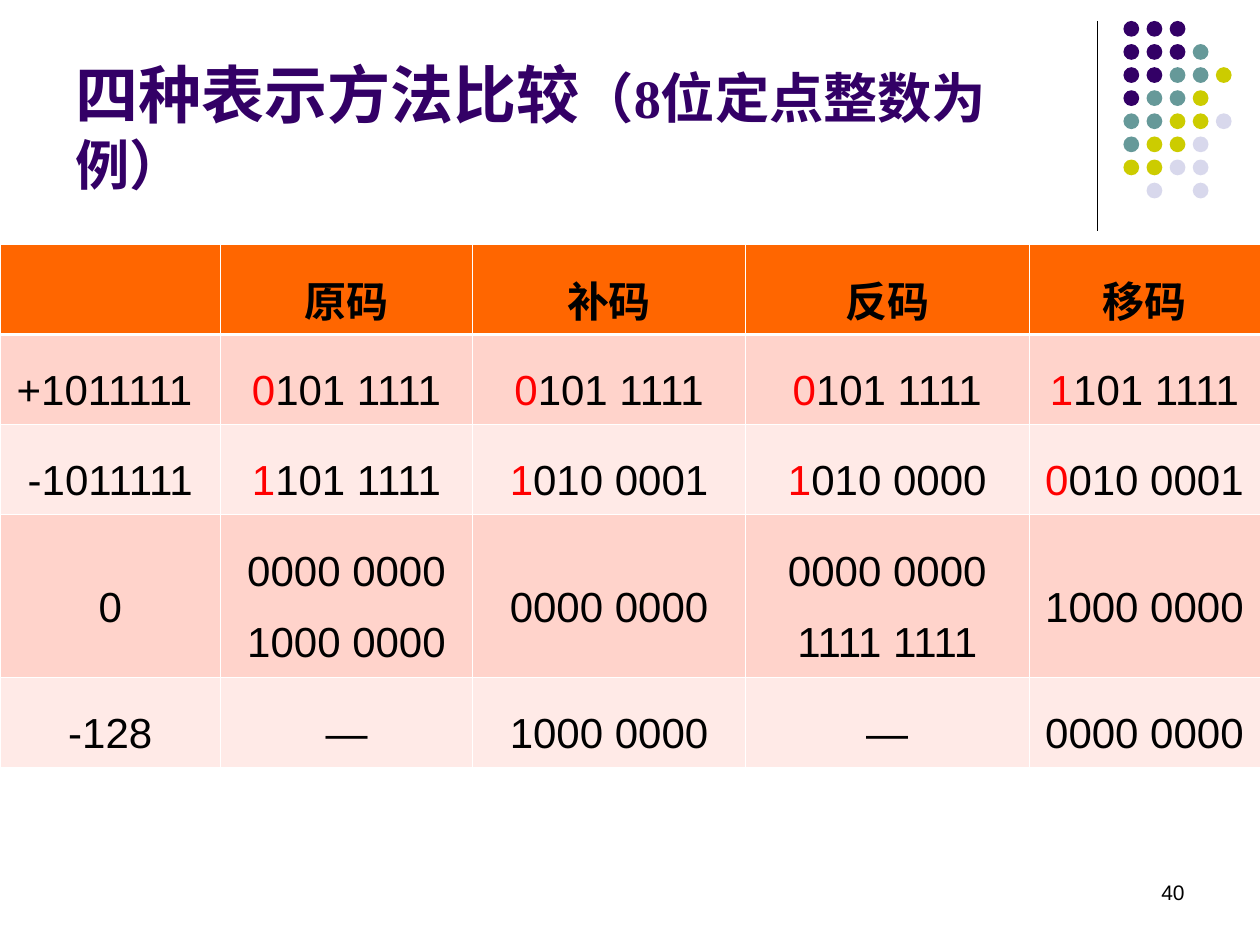
from lxml import etree
from pptx import Presentation, util as u
from pptx.dml.color import RGBColor
from pptx.enum import shapes, text
from pptx.oxml.ns import qn

COLORS = {
    "purple": "330066", "teal": "669999", "olive": "CCCC00", "lilac": "D8D8EC",
    "black": "000000", "white": "FFFFFF", "red": "FF0000",
    "header": "FF6600", "band_dark": "FFD3CB", "band_light": "FFEAE7",
}
CJK = "Noto Sans CJK SC"


def rgb(name):
    return RGBColor.from_string(COLORS[name])


class Deck:
    """Holds the style and the current slide; lengths are units of a 120 x 90 grid."""

    def __init__(self, prs, columns=120):
        self.unit = prs.slide_width / columns
        self.s = prs.slides.add_slide(prs.slide_layouts.get_by_name("Title Only"))

    def g(self, *units):
        return [u.Emu(round(n * self.unit)) for n in units]

    def run(self, p, words, size, color="black", font="Arial", bold=False):
        r = p.add_run()
        r.text = words
        r.font.size, r.font.bold, r.font.name = u.Pt(size), bold, font
        r.font.color.rgb = rgb(color)
        etree.SubElement(r.font._element, qn("a:ea"), typeface=CJK)

    def title(self, box, parts):
        sp = self.s.shapes.title
        sp.left, sp.top, sp.width, sp.height = self.g(*box)
        tf = sp.text_frame
        tf.auto_size, tf.word_wrap = text.MSO_AUTO_SIZE.NONE, True
        tf.vertical_anchor = text.MSO_ANCHOR.MIDDLE
        p = tf.paragraphs[0]
        p.alignment = text.PP_ALIGN.LEFT
        for words, size in parts:
            self.run(p, words, size, "purple", "Times New Roman", True)

    def label(self, box, words, size):
        tf = self.s.shapes.add_textbox(*self.g(*box)).text_frame
        tf.word_wrap = True
        tf.vertical_anchor = text.MSO_ANCHOR.MIDDLE
        p = tf.paragraphs[0]
        p.alignment = text.PP_ALIGN.RIGHT
        self.run(p, words, size)

    def line(self, ends, color, width):
        c = self.s.shapes.add_connector(shapes.MSO_CONNECTOR.STRAIGHT, *self.g(*ends))
        c.line.color.rgb, c.line.width = rgb(color), u.Pt(width)
        etree.SubElement(c._element.spPr, qn("a:effectLst"))

    def dots(self, left, top, pitch, size, pattern):
        names = {"p": "purple", "t": "teal", "o": "olive", "l": "lilac"}
        group = self.s.shapes.add_group_shape()
        for row, marks in enumerate(pattern):
            for col, mark in enumerate(marks):
                if mark not in names:
                    continue
                box = self.g(left + col * pitch, top + row * pitch, size, size)
                sp = group.shapes.add_shape(shapes.MSO_SHAPE.OVAL, *box)
                sp.shadow.inherit = False
                sp.fill.solid()
                sp.fill.fore_color.rgb = rgb(names[mark])
                sp.line.fill.background()

    def borders(self, cell, **widths):
        tcPr = cell._tc.get_or_add_tcPr()
        for side in "LRTB":
            width = u.Pt(widths.get(side, 0.45))
            ln = etree.SubElement(tcPr, qn(f"a:ln{side}"), w=str(int(width)))
            fill = etree.SubElement(ln, qn("a:solidFill"))
            etree.SubElement(fill, qn("a:srgbClr"), val=COLORS["white"])

    def cell(self, cell, words, row, signed):
        header = row == 0
        self.borders(cell, **({"B": 1.47} if header else {"T": 1.47} if row == 1 else {}))
        cell.fill.solid()
        band = "band_dark" if row % 2 else "band_light"
        cell.fill.fore_color.rgb = rgb("header" if header else band)
        cell.vertical_anchor = text.MSO_ANCHOR.MIDDLE
        cell.margin_left = cell.margin_right = u.Inches(0.05)
        cell.margin_top = cell.margin_bottom = u.Inches(0.05)
        tf = cell.text_frame
        for i, words_line in enumerate(words.split("\n")):
            p = tf.add_paragraph() if i else tf.paragraphs[0]
            p.alignment = text.PP_ALIGN.CENTER
            p.line_spacing = 1.3 if header else 1.5
            if signed:  # the sign bit stands out in red
                self.run(p, words_line[0], 24, "red")
                words_line = words_line[1:]
            if words_line:
                self.run(p, words_line, 24, font=CJK if header else "Arial", bold=header)

    def table(self, left, top, widths, heights, rows, signed_rows):
        box = self.g(left, top, sum(widths), sum(heights))
        t = self.s.shapes.add_table(len(rows), len(widths), *box).table
        for col, width in zip(t.columns, self.g(*widths)):
            col.width = width
        for row, height in zip(t.rows, self.g(*heights)):
            row.height = height
        for i, row in enumerate(rows):
            for j, words in enumerate(row):
                self.cell(t.cell(i, j), words, i, i in signed_rows and j > 0)


def main():
    prs = Presentation()
    prs.slide_width, prs.slide_height = u.Inches(10), u.Inches(7.5)
    deck = Deck(prs)

    # Corner ornament
    deck.line((104.5, 2, 104.5, 22), "black", 0.75)
    deck.dots(107, 2, 2.2, 1.5,
              ["ppp", "pppt", "pptto", "ptto", "ttool", "tool", "ooll", " l l"])

    # Title and slide number
    deck.title((6, 3.5, 98.2, 17), [("四种表示方法比较", 36), ("（8位定点整数为例）", 31)])
    deck.label((86, 82, 28, 6), "40", 12)

    # Comparison of the four codes
    rows = [
        ["", "原码", "补码", "反码", "移码"],
        ["+1011111 ", "0101 1111", "0101 1111", "0101 1111", "1101 1111"],
        ["-1011111", "1101 1111", "1010 0001", "1010 0000", "0010 0001"],
        ["0", "0000 0000\n1000 0000", "0000 0000", "0000 0000\n1111 1111", "1000 0000"],
        ["-128", "—", "1000 0000", "—", "0000 0000"],
    ]
    deck.table(0, 23.3, (21, 24, 26, 27, 22), (8.55, 8.55, 8.55, 15.6, 8.55),
               rows, signed_rows=(1, 2))

    prs.save("out.pptx")


if __name__ == "__main__":
    main()
